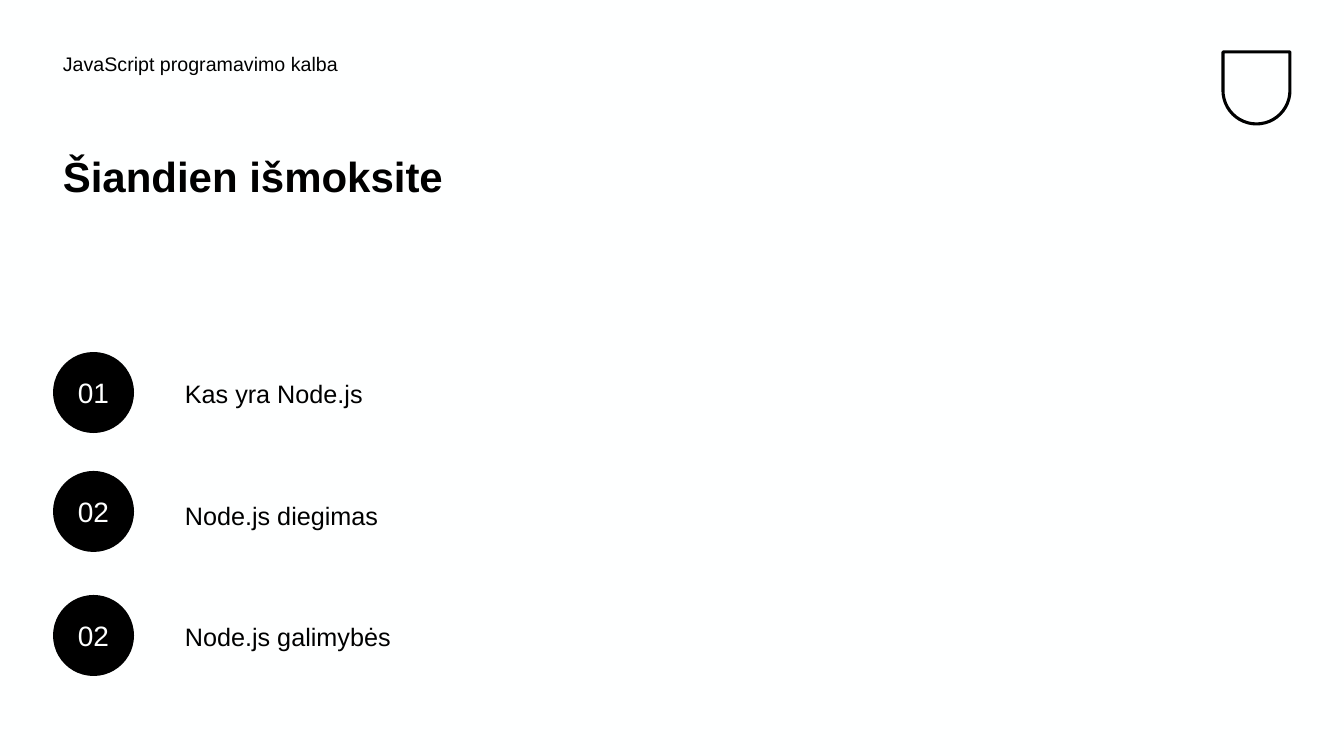
from pptx import Presentation
from pptx.dml.color import RGBColor
from pptx.enum.shapes import MSO_SHAPE as Shape
from pptx.enum.text import MSO_ANCHOR as Anchor, PP_ALIGN as Align
from pptx.util import Emu, Pt

BLACK = RGBColor(0x00, 0x00, 0x00)
WHITE = RGBColor(0xFE, 0xFF, 0xFF)
EMU_PER_PX = 914400 / 100.8
SLIDE_SIZE = (1344, 756)
CIRCLE_SIZE = 81

TOPICS = [
    ("01", "Kas yra Node.js", 352, 373),
    ("02", "Node.js diegimas", 471, 495),
    ("02", "Node.js galimybės", 595, 616),
]


def px(*lengths):
    return [Emu(round(length * EMU_PER_PX)) for length in lengths]


class SlideBuilder:
    font_name = "Arial"

    def __init__(self, presentation):
        self.slide = presentation.slides.add_slide(presentation.slide_layouts[6])
        background = self.slide.background.fill
        background.solid()
        background.fore_color.rgb = WHITE

    def set_text(self, shape, text, size, color, bold=False):
        shape.text_frame.text = text
        paragraph = shape.text_frame.paragraphs[0]
        font = paragraph.runs[0].font
        font.name = self.font_name
        font.size = Pt(size)
        font.bold = bold
        font.color.rgb = color
        return paragraph

    def text_box(self, text, box, size, bold=False, line_spacing=None):
        shape = self.slide.shapes.add_textbox(*px(*box))
        shape.text_frame.word_wrap = True
        paragraph = self.set_text(shape, text, size, BLACK, bold)
        paragraph.line_spacing = line_spacing

    def number_circle(self, number, left, top):
        shape = self.slide.shapes.add_shape(
            Shape.OVAL, *px(left, top, CIRCLE_SIZE, CIRCLE_SIZE))
        shape.shadow.inherit = False
        shape.fill.solid()
        shape.fill.fore_color.rgb = BLACK
        shape.line.fill.background()
        shape.text_frame.vertical_anchor = Anchor.MIDDLE
        self.set_text(shape, number, 20, WHITE).alignment = Align.CENTER

    def shield(self, box):
        shape = self.slide.shapes.add_shape(
            Shape.ROUND_2_SAME_RECTANGLE, *px(*box))
        shape.adjustments[0] = 0
        shape.adjustments[1] = 0.5
        shape.shadow.inherit = False
        shape.fill.background()
        shape.line.color.rgb = BLACK
        shape.line.width = Pt(2.2)


def main():
    presentation = Presentation()
    presentation.slide_width, presentation.slide_height = px(*SLIDE_SIZE)
    builder = SlideBuilder(presentation)
    builder.shield((1223, 52, 67, 72))
    builder.text_box("JavaScript programavimo kalba", (53, 50, 748, 50), 14,
                     line_spacing=0.9)
    builder.text_box("Šiandien išmoksite", (53, 151, 569, 150), 30, bold=True,
                     line_spacing=0.9)
    for number, topic, circle_top, text_top in TOPICS:
        builder.number_circle(number, 53, circle_top)
        builder.text_box(topic, (175, text_top, 467, 45), 18)
    presentation.save("out.pptx")


if __name__ == "__main__":
    main()
